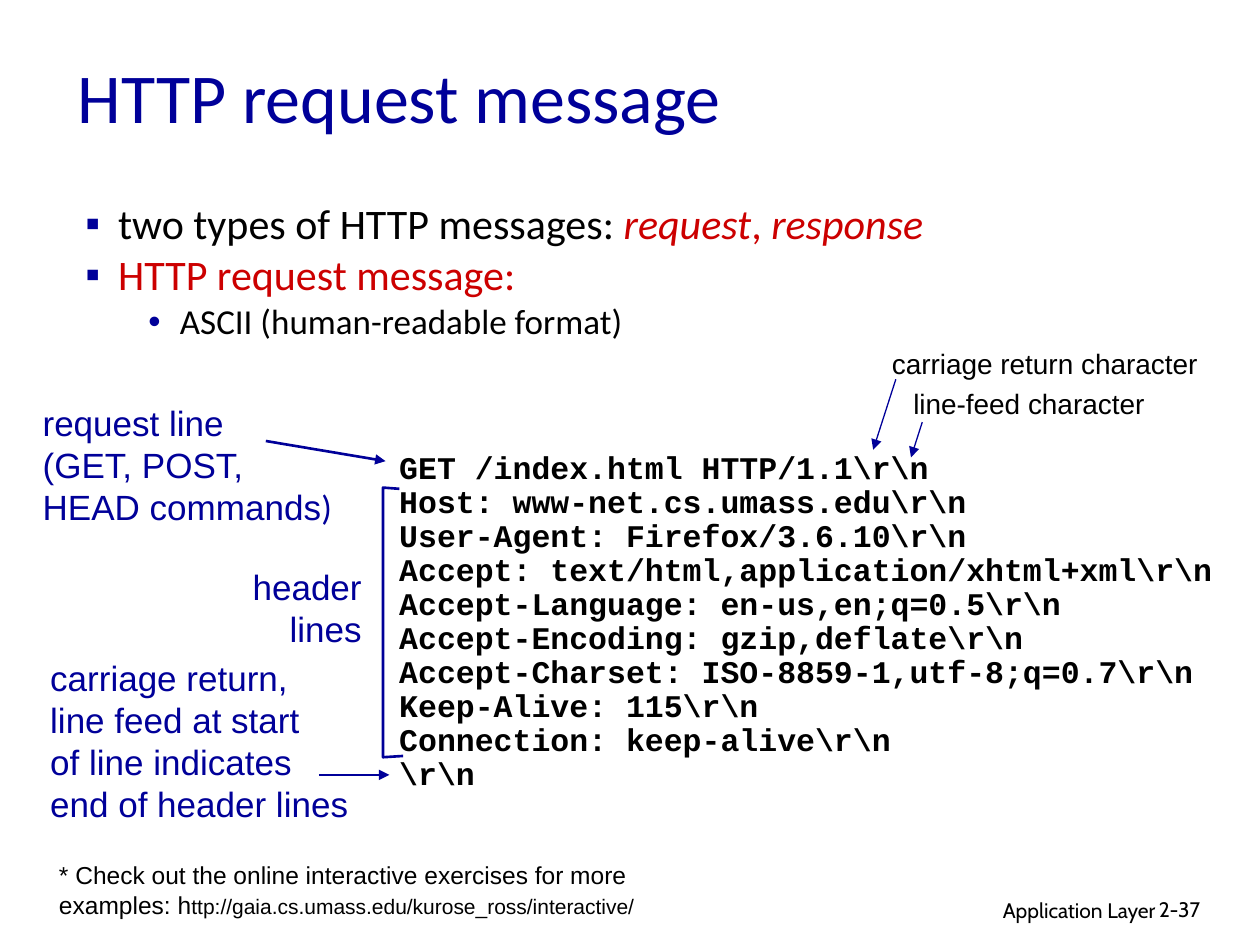
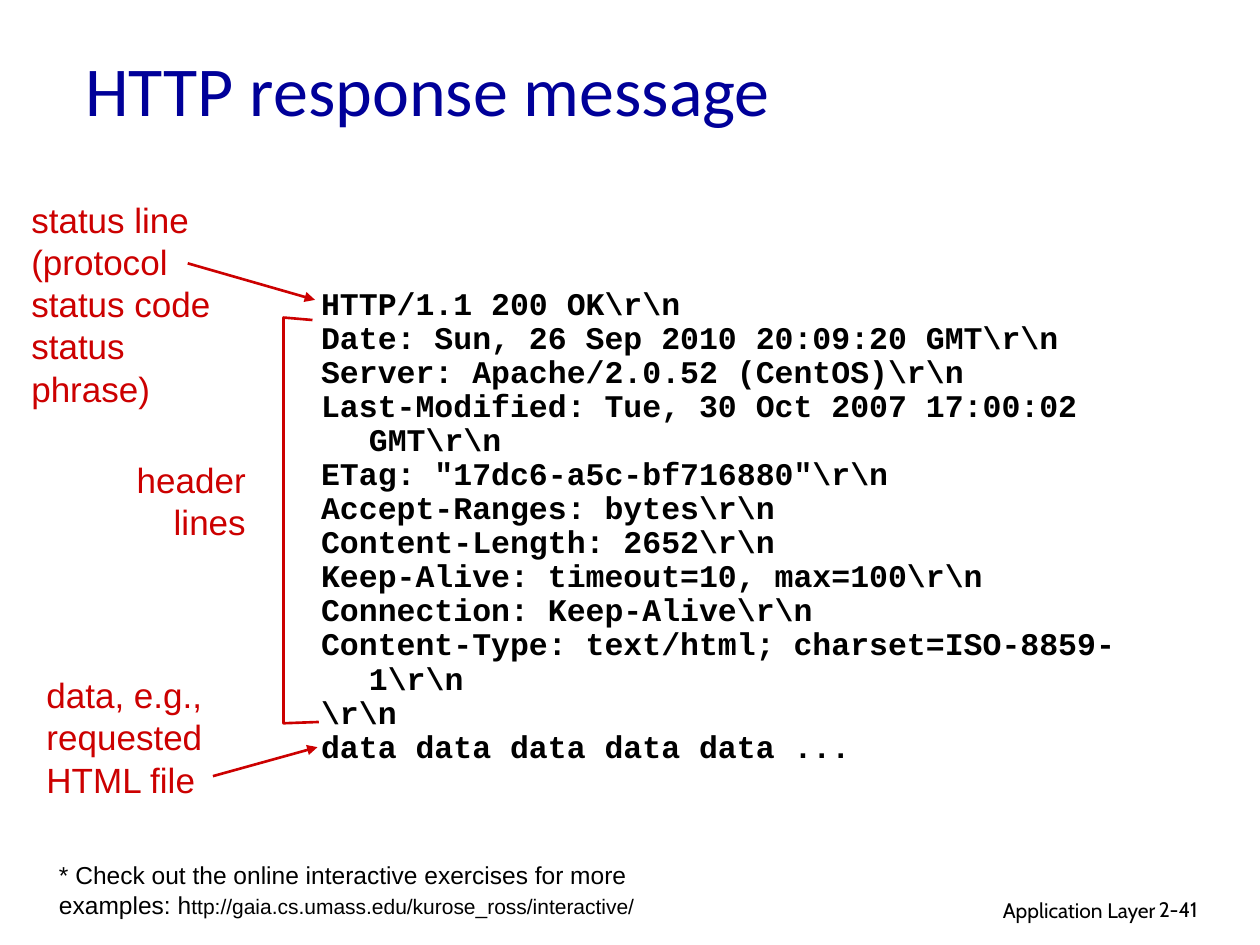
"""Build two slides that annotate an HTTP request and an HTTP response."""
from dataclasses import dataclass

from lxml import etree
from pptx import Presentation
from pptx.dml.color import RGBColor
from pptx.enum.shapes import MSO_CONNECTOR
from pptx.enum.text import MSO_ANCHOR, MSO_AUTO_SIZE, PP_ALIGN
from pptx.oxml.ns import qn
from pptx.util import Inches, Pt

STRAIGHT = MSO_CONNECTOR.STRAIGHT
TOP, MIDDLE = MSO_ANCHOR.TOP, MSO_ANCHOR.MIDDLE
LEFT, RIGHT = PP_ALIGN.LEFT, PP_ALIGN.RIGHT
FIT, FIXED = MSO_AUTO_SIZE.SHAPE_TO_FIT_TEXT, MSO_AUTO_SIZE.NONE


@dataclass(frozen=True)
class Theme:
    black: str = "000000"
    blue: str = "000099"
    red: str = "CC0000"
    heading: str = "Calibri"
    label: str = "Arial"
    code: str = "Courier New"
    footer: str = "Cabin"
    title_size: int = 40
    body_size: int = 24
    label_size: int = 20
    code_size: int = 18
    note_size: int = 16
    hint_size: int = 14
    footer_size: int = 12
    hang: float = 0.38
    tight: float = 0.9


theme = Theme()


def add_text(slide, at, paragraphs, size, font, color, align=LEFT, anchor=TOP,
             wrap=True, bold=False, hang=0, spacing=None):
    """Add a text box; a paragraph is a string or a list of (text, changes) runs."""
    sp = slide.shapes.add_textbox(*map(Inches, at))
    tf = sp.text_frame
    tf.word_wrap = wrap
    tf.auto_size = FIXED if wrap else FIT
    tf.vertical_anchor = anchor
    for i, runs in enumerate(paragraphs):
        p = tf.add_paragraph() if i else tf.paragraphs[0]
        p.alignment = align
        if spacing:
            p.line_spacing = spacing
        if hang:
            pPr = p._p.get_or_add_pPr()
            pPr.set("marL", str(Inches(hang)))
            pPr.set("indent", str(-Inches(hang)))
        for text, changes in [(runs, {})] if isinstance(runs, str) else runs:
            r = p.add_run()
            r.text = text
            r.font.size = Pt(changes.get("size", size))
            r.font.name = changes.get("font", font)
            r.font.bold = bold
            r.font.italic = changes.get("italic", False)
            r.font.color.rgb = RGBColor.from_string(changes.get("color", color))
    return tf


def add_arrow(slide, start, end, color, width):
    """Add a straight connector with a triangle at its end."""
    cxn = slide.shapes.add_connector(STRAIGHT, *map(Inches, start + end))
    cxn.line.color.rgb = RGBColor.from_string(color)
    cxn.line.width = Pt(width)
    etree.SubElement(cxn.line._get_or_add_ln(), qn("a:tailEnd"), type="triangle")
    etree.SubElement(cxn._element.spPr, qn("a:effectLst"))


pages = [
    {
        "title": "HTTP request message",
        "title_at": (0.52, 0.26, 8.5, 1),
        "number": "2-37",
        "color": theme.blue,
        "labels": [
            ((0.24, 3.14, 2.5, 1.1), LEFT, False,
             ["request line", "(GET, POST,",
              [("HEAD commands", {}), (")", {"font": theme.heading})]]),
            ((1.9, 4.44, 1.07, 0.77), RIGHT, False, ["header", "lines"]),
            ((0.3, 5.16, 2.59, 1.41), LEFT, False,
             ["carriage return,", "line feed at start", "of line indicates",
              "end of header lines"]),
        ],
        "arrows": [((2.11, 3.5), (3.06, 3.66), 1.5),
                   ((2.53, 6.15), (3.09, 6.15), 1.5),
                   ((7.11, 3.01), (6.93, 3.57), 0.75),
                   ((7.32, 3.35), (7.23, 3.63), 0.75)],
        "bracket": [(3.17, 3.88), (3.04, 3.87), (3.04, 6.01), (3.2, 6)],
        "code_at": (3.07, 3.54, 6.72, 2.83),
        "code": [
            r"GET /index.html HTTP/1.1\r\n",
            r"Host: www-net.cs.umass.edu\r\n",
            r"User-Agent: Firefox/3.6.10\r\n",
            r"Accept: text/html,application/xhtml+xml\r\n",
            r"Accept-Language: en-us,en;q=0.5\r\n",
            r"Accept-Encoding: gzip,deflate\r\n",
            r"Accept-Charset: ISO-8859-1,utf-8;q=0.7\r\n",
            r"Keep-Alive: 115\r\n",
            r"Connection: keep-alive\r\n",
            r"\r\n",
        ],
    },
    {
        "title": "HTTP response message",
        "title_at": (0.58, 0.17, 8.5, 1.07),
        "number": "2-41",
        "color": theme.red,
        "labels": [
            ((0.15, 1.53, 1.85, 1.77), LEFT, True,
             ["status line", "(protocol", "status code", "status phrase)"]),
            ((0.98, 3.59, 1.07, 0.77), RIGHT, False, ["header", "lines"]),
            ((0.27, 5.3, 1.51, 1.1), LEFT, False,
             ["data, e.g.,", "requested", "HTML file"]),
        ],
        "arrows": [((1.49, 2.09), (2.5, 2.38), 1.5),
                   ((1.69, 6.16), (2.52, 5.93), 1.5)],
        "bracket": [(2.48, 2.54), (2.25, 2.52), (2.25, 5.74), (2.53, 5.73)],
        "code_at": (2.45, 2.24, 6.9, 3.89),
        "code": [
            r"HTTP/1.1 200 OK\r\n",
            r"Date: Sun, 26 Sep 2010 20:09:20 GMT\r\n",
            r"Server: Apache/2.0.52 (CentOS)\r\n",
            r"Last-Modified: Tue, 30 Oct 2007 17:00:02 GMT\r\n",
            r'ETag: "17dc6-a5c-bf716880"\r\n',
            r"Accept-Ranges: bytes\r\n",
            r"Content-Length: 2652\r\n",
            r"Keep-Alive: timeout=10, max=100\r\n",
            r"Connection: Keep-Alive\r\n",
            r"Content-Type: text/html; charset=ISO-8859-1\r\n",
            r"\r\n",
            "data data data data data ...",
        ],
    },
]
hint = [("* Check out the online interactive exercises for more examples: h", {}),
        ("ttp://gaia.cs.umass.edu/kurose_ross/interactive/",
         {"size": theme.footer_size})]

prs = Presentation()
prs.slide_width, prs.slide_height = Inches(10), Inches(7.5)
slides = []

for page in pages:
    s = prs.slides.add_slide(prs.slide_layouts[6])
    slides.append(s)
    add_text(s, (6.1, 7.07, 3.17, 0.31), ["Application Layer"],
             theme.footer_size, theme.footer, theme.black, RIGHT)
    add_text(s, (9.1, 7.07, 0.74, 0.3), [page["number"]],
             theme.footer_size, theme.footer, theme.black)
    add_text(s, page["title_at"], [page["title"]],
             theme.title_size, theme.heading, theme.blue, anchor=MIDDLE)
    for at, align, wrap, lines in page["labels"]:
        add_text(s, at, lines, theme.label_size, theme.label, page["color"],
                 align, wrap=wrap)
    for start, end, width in page["arrows"]:
        add_arrow(s, start, end, page["color"], width)
    corners = [(Inches(x), Inches(y)) for x, y in page["bracket"]]
    builder = s.shapes.build_freeform(*corners[0])
    builder.add_line_segments(corners[1:], close=False)
    bracket = builder.convert_to_shape()
    bracket.shadow.inherit = False
    bracket.fill.background()
    bracket.line.color.rgb = RGBColor.from_string(page["color"])
    bracket.line.width = Pt(1.5)
    add_text(s, page["code_at"], page["code"], theme.code_size, theme.code,
             theme.black, bold=True, hang=theme.hang, spacing=theme.tight)
    add_text(s, (0.37, 6.78, 4.93, 0.57), [hint],
             theme.hint_size, theme.label, theme.black)

request = slides[0]
for at, note in [((6.98, 2.7, 2.64, 0.37), "carriage return character"),
                 ((7.15, 3.02, 2.04, 0.37), "line-feed character")]:
    add_text(request, at, [note], theme.note_size, theme.label, theme.black,
             wrap=False, hang=theme.hang)

emphasis = {"color": theme.red, "italic": True}
tf = add_text(request, (0.58, 1.58, 8.5, 5.08), [
    [("two types of HTTP messages: ", {}), ("request", emphasis),
     (", ", {"color": theme.red}), ("response", emphasis)],
    [("HTTP request message:", {"color": theme.red})],
    [("ASCII (human-readable format)", {"size": theme.label_size})],
], theme.body_size, theme.heading, theme.black, spacing=0.85)
bullets = [(0, 0.26, 0.26, "▪", 0), (0, 0.26, 0.26, "▪", 4.8), (1, 0.75, 0.25, "•", 4)]
for p, (level, margin, hang, char, before) in zip(tf.paragraphs, bullets):
    p.level = level
    p.space_before = Pt(before)
    pPr = p._p.get_or_add_pPr()
    pPr.set("marL", str(Inches(margin)))
    pPr.set("indent", str(-Inches(hang)))
    tint = etree.SubElement(pPr, qn("a:buClr"))
    etree.SubElement(tint, qn("a:srgbClr"), val=theme.blue)
    etree.SubElement(pPr, qn("a:buFont"), typeface=theme.label)
    etree.SubElement(pPr, qn("a:buChar"), char=char)

prs.save("out.pptx")
